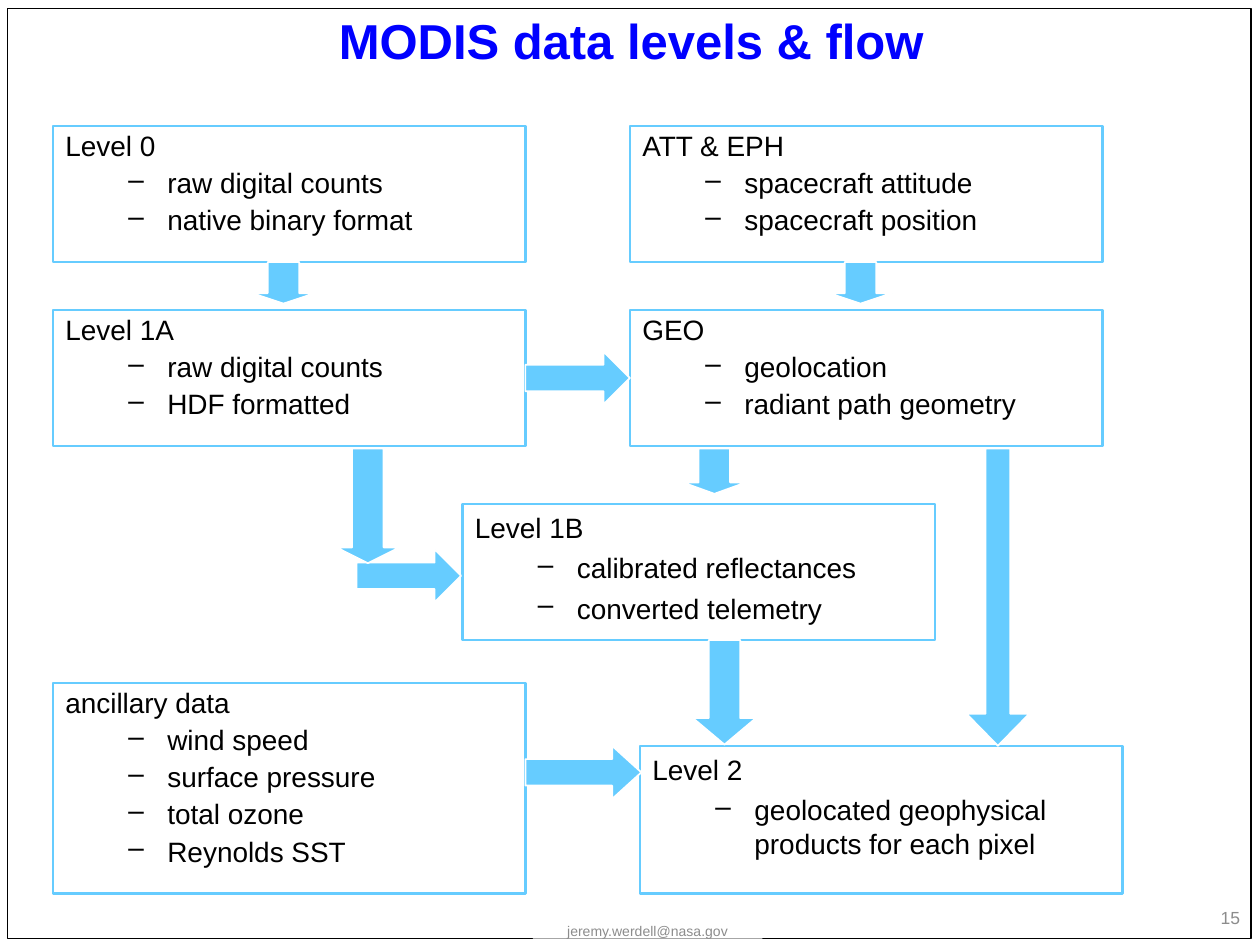
from lxml import etree
from pptx import Presentation
from pptx.dml.color import RGBColor
from pptx.enum import shapes, text
from pptx.oxml.ns import qn
from pptx.util import Inches, Pt

COLORS = {"sky": "66CCFF", "white": "FFFFFF", "black": "000000",
          "title": "0000FF", "gray": "8C8C8C"}
SHAPE = shapes.MSO_SHAPE
ALIGN = text.PP_ALIGN


def add_figure(kind, area, fill=None, line=None, width=1):
    figure = page.shapes.add_shape(kind, *[Inches(value) for value in area])
    figure.shadow.inherit = False
    if fill:
        figure.fill.solid()
        figure.fill.fore_color.rgb = RGBColor.from_string(COLORS[fill])
    else:
        figure.fill.background()
    if line:
        figure.line.color.rgb = RGBColor.from_string(COLORS[line])
        figure.line.width = Pt(width)
    else:
        figure.line.fill.background()
    return figure


def style_text(para, words, size, color, align=ALIGN.LEFT, bold=False):
    para.text = words
    para.alignment = align
    para.font.name = "Arial"
    para.font.size = Pt(size)
    para.font.bold = bold
    para.font.color.rgb = RGBColor.from_string(COLORS[color])


deck = Presentation()
deck.slide_width = Inches(10)
deck.slide_height = Inches(7.5)
page = deck.slides.add_slide(deck.slide_layouts[6])

add_figure(SHAPE.RECTANGLE, (0.06, 0.07, 9.87, 7.38), line="black", width=0.75)

data_boxes = [
    ((0.42, 1, 3.75, 1.08), 0.9, "Level 0",
     ["raw digital counts", "native binary format"]),
    ((0.42, 2.46, 3.75, 1.08), 0.9, "Level 1A",
     ["raw digital counts", "HDF formatted"]),
    ((3.67, 4, 3.75, 1.08), 1, "Level 1B",
     ["calibrated reflectances", "converted telemetry"]),
    ((5.08, 5.92, 3.83, 1.17), 1, "Level 2",
     ["geolocated geophysical products for each pixel"]),
    ((0.42, 5.42, 3.75, 1.67), 0.9, "ancillary data",
     ["wind speed", "surface pressure", "total ozone", "Reynolds SST"]),
    ((5, 2.46, 3.75, 1.08), 0.9, "GEO",
     ["geolocation", "radiant path geometry"]),
    ((5, 1, 3.75, 1.08), 0.9, "ATT & EPH",
     ["spacecraft attitude", "spacecraft position"]),
]
for area, spacing, heading, items in data_boxes:
    box = add_figure(SHAPE.RECTANGLE, area, line="sky", width=1.5)
    frame = box.text_frame
    frame.word_wrap = True
    frame.vertical_anchor = text.MSO_ANCHOR.TOP
    style_text(frame.paragraphs[0], heading, 16, "black")
    frame.paragraphs[0].line_spacing = spacing
    for item in items:
        para = frame.add_paragraph()
        para.level = 1
        para.line_spacing = spacing
        para.space_before = Pt(4)
        properties = para._p.get_or_add_pPr()
        properties.set("marL", str(Inches(0.81)))
        properties.set("indent", str(Inches(-0.31)))
        etree.SubElement(properties, qn("a:buChar"), char="–")
        style_text(para, item, 16, "black")

arrows = [
    (SHAPE.DOWN_ARROW, (2, 2.08, 0.5, 0.33), 0.5, 0.25),
    (SHAPE.DOWN_ARROW, (7.67, 3.56, 0.5, 2.36), 0.39, 0.51),
    (SHAPE.RIGHT_ARROW, (4.17, 5.92, 0.92, 0.42), 0.5, 0.55),
    (SHAPE.RIGHT_ARROW, (4.17, 2.79, 0.83, 0.42), 0.5, 0.5),
    (SHAPE.DOWN_ARROW, (5.5, 5.08, 0.5, 0.83), 0.5, 0.42),
    (SHAPE.DOWN_ARROW, (6.58, 2.08, 0.5, 0.33), 0.5, 0.25),
    (SHAPE.DOWN_ARROW, (5.42, 3.56, 0.5, 0.36), 0.5, 0.25),
    (SHAPE.RIGHT_ARROW, (2.83, 4.36, 0.83, 0.42), 0.5, 0.5),
    (SHAPE.DOWN_ARROW, (2.67, 3.56, 0.5, 0.91), 0.5, 0.25),
]
for kind, area, shaft, head in arrows:
    arrow = add_figure(kind, area, fill="sky", line="white")
    arrow.adjustments[0] = shaft
    arrow.adjustments[1] = head

labels = [
    ((0.51, 0.1, 9, 0.44), None, "MODIS data levels & flow", 28, "title", ALIGN.CENTER, True),
    ((4.23, 7.32, 1.82, 0.13), "white", "jeremy.werdell@nasa.gov", 8, "gray", ALIGN.CENTER, False),
    ((9.5, 7.14, 0.44, 0.29), None, "15", 10, "gray", ALIGN.RIGHT, False),
]
for area, fill, words, size, color, align, bold in labels:
    label = add_figure(SHAPE.RECTANGLE, area, fill=fill)
    frame = label.text_frame
    frame.word_wrap = True
    frame.margin_top = frame.margin_bottom = 0
    frame.vertical_anchor = text.MSO_ANCHOR.MIDDLE
    style_text(frame.paragraphs[0], words, size, color, align, bold)

deck.save("out.pptx")
